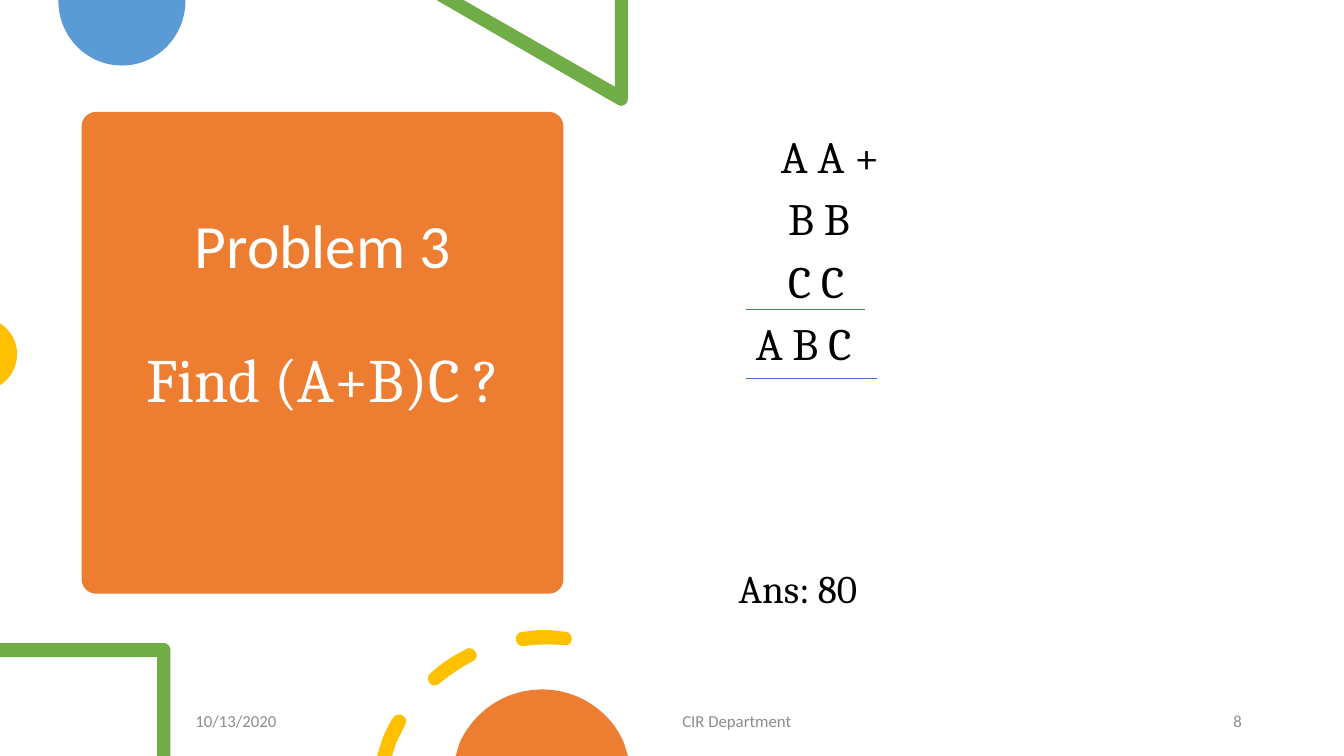
from lxml import etree
from pptx import Presentation
from pptx import util as u
from pptx.dml.color import RGBColor
from pptx.enum import shapes, text
from pptx.oxml.ns import qn

PX = 9144  # EMU per px, 100 px to the inch
THEME = {
    "orange": "ED7D31", "blue": "5B9BD5", "green": "70AD47", "yellow": "FFC000",
    "rule": "4472C4", "white": "FFFFFF", "black": "000000", "grey": "8C8C8C",
    "sans": "Calibri", "serif": "Cambria",
    "title": 44, "sum": 32, "answer": 28, "footer": 12,
}


def write(paragraph, words, font="sans", size="footer", color="grey", align="LEFT",
          indent=0, before=0, after=0, spacing=1.0):
    properties = paragraph._p.get_or_add_pPr()
    properties.set("marL", str(indent * PX))
    properties.set("indent", "0")
    paragraph.alignment = getattr(text.PP_ALIGN, align)
    paragraph.space_before, paragraph.space_after = u.Pt(before), u.Pt(after)
    paragraph.line_spacing = spacing
    run = paragraph.add_run()
    run.text = words
    run.font.name = THEME[font]
    run.font.size = u.Pt(THEME[size])
    run.font.color.rgb = RGBColor.from_string(THEME[color])


def paint(shape, color):
    shape.shadow.inherit = False
    shape.fill.solid()
    shape.fill.fore_color.rgb = RGBColor.from_string(THEME[color])
    shape.line.fill.background()


presentation = Presentation()
presentation.slide_width, presentation.slide_height = u.Emu(12192000), u.Emu(6858000)
slide = presentation.slides.add_slide(presentation.slide_layouts[5])

# Orange card behind the title
card = slide.shapes.add_shape(shapes.MSO_SHAPE.ROUNDED_RECTANGLE,
                              81 * PX, 111 * PX, 478 * PX, 478 * PX)
card.adjustments[0] = 0.03
paint(card, "orange")

# Title, raised by one line through its bottom inset
title = slide.shapes.title
title.left, title.top, title.width, title.height = 105 * PX, 122 * PX, 431 * PX, 456 * PX
slide.shapes._spTree.append(title._element)
frame = title.text_frame
frame.word_wrap = True
frame.auto_size = text.MSO_AUTO_SIZE.NONE
frame.vertical_anchor = text.MSO_ANCHOR.MIDDLE
frame.margin_top, frame.margin_bottom = 5 * PX, 79 * PX
title_format = dict(size="title", color="white", align="CENTER", spacing=0.9)
write(frame.paragraphs[0], "Problem 3", **title_format)
write(frame.add_paragraph(), "Find (A+B)C ?", font="serif", before=48, **title_format)

# Decorations cut by the slide edges: two numbers are a corner, six are a curve
decorations = [
    ("blue", [
        [(184, 0), (58, 0), (58, 1), (58, 36, 86, 65, 121, 65), (156, 65, 184, 36, 184, 1)]]),
    ("green", [
        [(623, 0), (610, 0), (610, 86), (460, 0), (433, 0), (613, 104),
         (614, 105, 615, 105, 616, 105), (620, 105, 623, 102, 623, 98)]]),
    ("yellow", [
        [(0, 321), (0, 382), (2, 381), (11, 374, 17, 364, 17, 351),
         (17, 339, 11, 329, 2, 322)]]),
    ("green", [
        [(163, 638), (0, 638), (0, 652), (156, 652), (156, 750), (169, 750), (169, 645),
         (169, 641, 166, 638, 163, 638)]]),
    ("yellow", [
        [(397, 709), (394, 708, 392, 710, 390, 712), (386, 718, 383, 725, 380, 731),
         (374, 750), (389, 750), (393, 737), (396, 731, 399, 725, 402, 719),
         (404, 716, 403, 711, 399, 710), (399, 709, 398, 709, 397, 709)],
        [(465, 643), (465, 643, 464, 643, 463, 644), (450, 650, 438, 658, 427, 668),
         (424, 670, 424, 675, 426, 677), (427, 679, 429, 680, 431, 680),
         (433, 680, 435, 679, 436, 678), (446, 670, 457, 662, 469, 656),
         (473, 654, 474, 650, 472, 647), (471, 644, 468, 643, 465, 643)],
        [(540, 625), (532, 625, 525, 626, 518, 627), (514, 627, 511, 631, 512, 635),
         (512, 638, 515, 641, 519, 641), (533, 639, 546, 639, 560, 640),
         (563, 641, 567, 638, 567, 635), (568, 631, 565, 627, 562, 627),
         (554, 626, 547, 625, 540, 625)]]),
    ("orange", [
        [(538, 684), (501, 684, 470, 706, 456, 737), (452, 750), (623, 750), (619, 737),
         (606, 706, 574, 684, 538, 684)]]),
]
for color, outlines in decorations:
    builder = slide.shapes.build_freeform(*outlines[0][0], scale=PX)
    for outline in outlines:
        if outline is not outlines[0]:
            builder.move_to(*outline[0])
        points = [step[i:i + 2] for step in outline[1:] for i in range(0, len(step), 2)]
        builder.add_line_segments(points, close=False)
        builder.add_line_segments([], close=True)
    shape = builder.convert_to_shape()
    paint(shape, color)

    # Join each curve's three points into one Bézier segment
    segments = iter(list(shape._element.iter(qn("a:lnTo"))))
    for step in (step for outline in outlines for step in outline[1:]):
        first = next(segments)
        if len(step) == 6:
            first.tag = qn("a:cubicBezTo")
            for extra in (next(segments), next(segments)):
                first.append(extra[0])
                extra.getparent().remove(extra)

# Footer row
for words, left, width, align in [("10/13/2020", 184, 169, "LEFT"),
                                  ("CIR Department", 667, 471, "LEFT"),
                                  ("8", 1149, 93, "RIGHT")]:
    box = slide.shapes.add_textbox(left * PX, 695 * PX, width * PX, 40 * PX)
    box.text_frame.word_wrap = True
    box.text_frame.vertical_anchor = text.MSO_ANCHOR.MIDDLE
    write(box.text_frame.paragraphs[0], words, align=align)

# Column sum and answer
box = slide.shapes.add_textbox(472 * PX, 123 * PX, 667 * PX, 493 * PX)
frame = box.text_frame
frame.word_wrap = True
sum_lines = [("A A +", 293, "sum", 0), ("B B", 300, "sum", 0), ("C C", 300, "sum", 0),
             ("A B C", 268, "sum", 0), ("Ans: 80", 251, "answer", 133)]
for i, (words, indent, size, before) in enumerate(sum_lines):
    paragraph = frame.add_paragraph() if i else frame.paragraphs[0]
    write(paragraph, words, font="serif", size=size, color="black",
          indent=indent, before=before, after=6)

# Rules above and below the total
for y, right in [(307, 858), (375, 870)]:
    rule = slide.shapes.add_connector(shapes.MSO_CONNECTOR.STRAIGHT,
                                      740 * PX, y * PX, right * PX, y * PX)
    rule.line.color.rgb = RGBColor.from_string(THEME["rule"])
    rule.line.width = u.Pt(0.5)
    etree.SubElement(rule._element.spPr, qn("a:effectLst"))

presentation.save("out.pptx")
